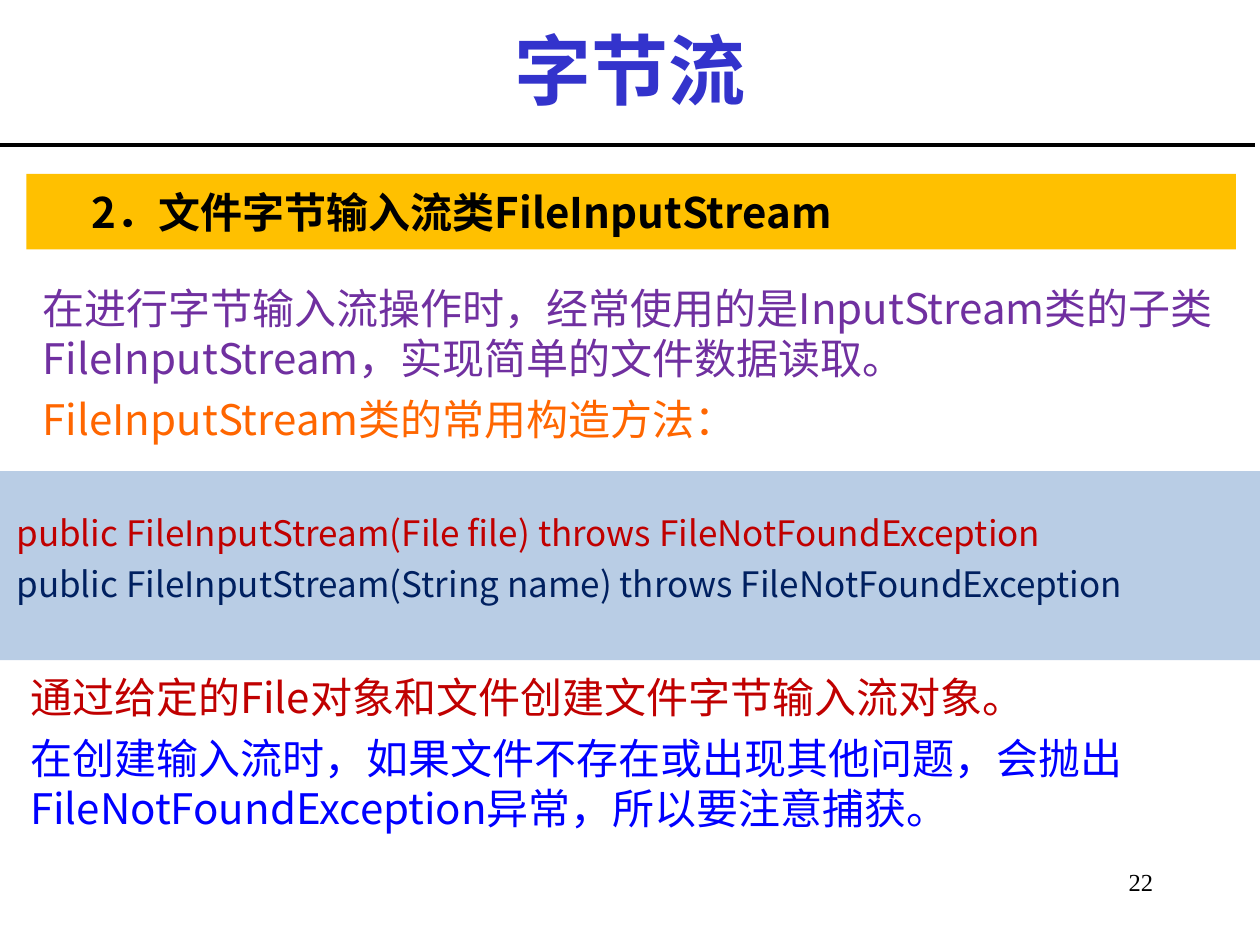
from dataclasses import dataclass

from lxml.etree import SubElement
from pptx import Presentation
from pptx.dml.color import RGBColor
from pptx.enum.shapes import MSO_CONNECTOR as Connector, MSO_SHAPE as Shape
from pptx.enum.text import MSO_ANCHOR as Anchor, PP_ALIGN as Align
from pptx.oxml.ns import qn
from pptx.util import Inches, Pt


@dataclass(frozen=True)
class Theme:
    sans: str = "Noto Sans CJK SC"
    serif: str = "Times New Roman"
    title_size: int = 44
    body_size: int = 24
    code_size: int = 20
    number_size: int = 14
    title: str = "3333CC"
    black: str = "000000"
    gold: str = "FFC000"
    pale_blue: str = "B9CDE5"
    purple: str = "7030A0"
    orange: str = "FF6600"
    red: str = "C00000"
    navy: str = "002060"
    blue: str = "0000FF"


@dataclass(frozen=True)
class Area:
    """Left, top, width and height on a grid of 100 columns and 75 rows."""
    column: float
    row: float
    columns: float
    rows: float

    def lengths(self) -> list:
        return [grid(n) for n in (self.column, self.row, self.columns, self.rows)]


@dataclass(frozen=True)
class TextBlock:
    area: Area
    lines: tuple  # (text, colour) pairs
    size: int
    gap: int = 6
    bold: bool = False


THEME = Theme()
COLUMNS, ROWS = 100, 75
CELL = Inches(10) / COLUMNS

BANDS = (
    (Area(0, 37.4, 100, 15), THEME.pale_blue),
    (Area(2.1, 13.8, 96, 6), THEME.gold),
)
BLOCKS = (
    TextBlock(Area(6, 14.1, 101.9, 5.8),
              (("2．文件字节输入流类FileInputStream", THEME.black),),
              THEME.body_size, bold=True),
    TextBlock(Area(2.1, 21.7, 96, 16.4),
              (("在进行字节输入流操作时，经常使用的是InputStream类的子类"
                "FileInputStream，实现简单的文件数据读取。", THEME.purple),
               ("FileInputStream类的常用构造方法：", THEME.orange)),
              THEME.body_size),
    TextBlock(Area(0, 39.9, 100, 11.7),
              (("public FileInputStream(File file) throws FileNotFoundException", THEME.red),
               ("public FileInputStream(String name) throws FileNotFoundException", THEME.navy)),
              THEME.code_size, gap=5),
    TextBlock(Area(1.1, 52.6, 111.6, 17.2),
              (("通过给定的File对象和文件创建文件字节输入流对象。", THEME.red),
               ("在创建输入流时，如果文件不存在或出现其他问题，会抛出"
                "FileNotFoundException异常，所以要注意捕获。", THEME.blue)),
              THEME.body_size),
)


def grid(cells: float) -> int:
    return round(cells * CELL)


def write(para, text: str, *, size: int, color: str, font: str = THEME.sans,
          bold: bool = False, align=Align.LEFT, before: int = 0) -> None:
    para.alignment = align
    para.space_before = Pt(before)
    span = para.add_run()
    span.text = text
    span.font.size = Pt(size)
    span.font.bold = bold
    span.font.name = font
    span.font.color.rgb = RGBColor.from_string(color)
    # East Asian characters always use the sans face
    SubElement(span.font._element, qn("a:ea")).set("typeface", THEME.sans)


def add_box(page, area: Area, margin_x: float, margin_y: float):
    frame = page.shapes.add_textbox(*area.lengths()).text_frame
    frame.word_wrap = True
    frame.margin_left = frame.margin_right = Inches(margin_x)
    frame.margin_top = frame.margin_bottom = Inches(margin_y)
    return frame


def add_band(page, area: Area, color: str) -> None:
    band = page.shapes.add_shape(Shape.RECTANGLE, *area.lengths())
    band.shadow.inherit = False
    band.fill.solid()
    band.fill.fore_color.rgb = RGBColor.from_string(color)
    band.line.fill.background()


def add_block(page, block: TextBlock) -> None:
    frame = add_box(page, block.area, 0.13, 0.07)
    for index, (text, color) in enumerate(block.lines):
        para = frame.add_paragraph() if index else frame.paragraphs[0]
        write(para, text, size=block.size, color=color, bold=block.bold,
              before=block.gap if index else 0)


def add_title(page, area: Area, text: str) -> None:
    title = page.shapes.title
    title.left, title.top, title.width, title.height = area.lengths()
    title.text_frame.vertical_anchor = Anchor.MIDDLE
    write(title.text_frame.paragraphs[0], text, size=THEME.title_size,
          color=THEME.title, font=THEME.serif, bold=True, align=Align.CENTER)


def add_rule(page, start: float, end: float, row: float) -> None:
    rule = page.shapes.add_connector(
        Connector.STRAIGHT, grid(start), grid(row), grid(end), grid(row))
    rule.line.width = Pt(2.25)
    rule.line.color.rgb = RGBColor.from_string(THEME.black)
    SubElement(rule._element.spPr, qn("a:effectLst"))


def main() -> None:
    deck = Presentation()
    deck.slide_width, deck.slide_height = grid(COLUMNS), grid(ROWS)
    page = deck.slides.add_slide(deck.slide_layouts[5])

    # Heading and rule
    add_title(page, Area(7.5, 0.9, 85, 9.1), "字节流")
    add_rule(page, -0.4, 99.6, 11.5)

    # Coloured bands, then the text over them
    for area, color in BANDS:
        add_band(page, area, color)
    for block in BLOCKS:
        add_block(page, block)

    # Page number
    number = add_box(page, Area(81.7, 68.3, 10.8, 5), 0.1, 0.05)
    write(number.paragraphs[0], "22", size=THEME.number_size, color=THEME.black,
          font=THEME.serif, align=Align.RIGHT)

    deck.save("out.pptx")


if __name__ == "__main__":
    main()
